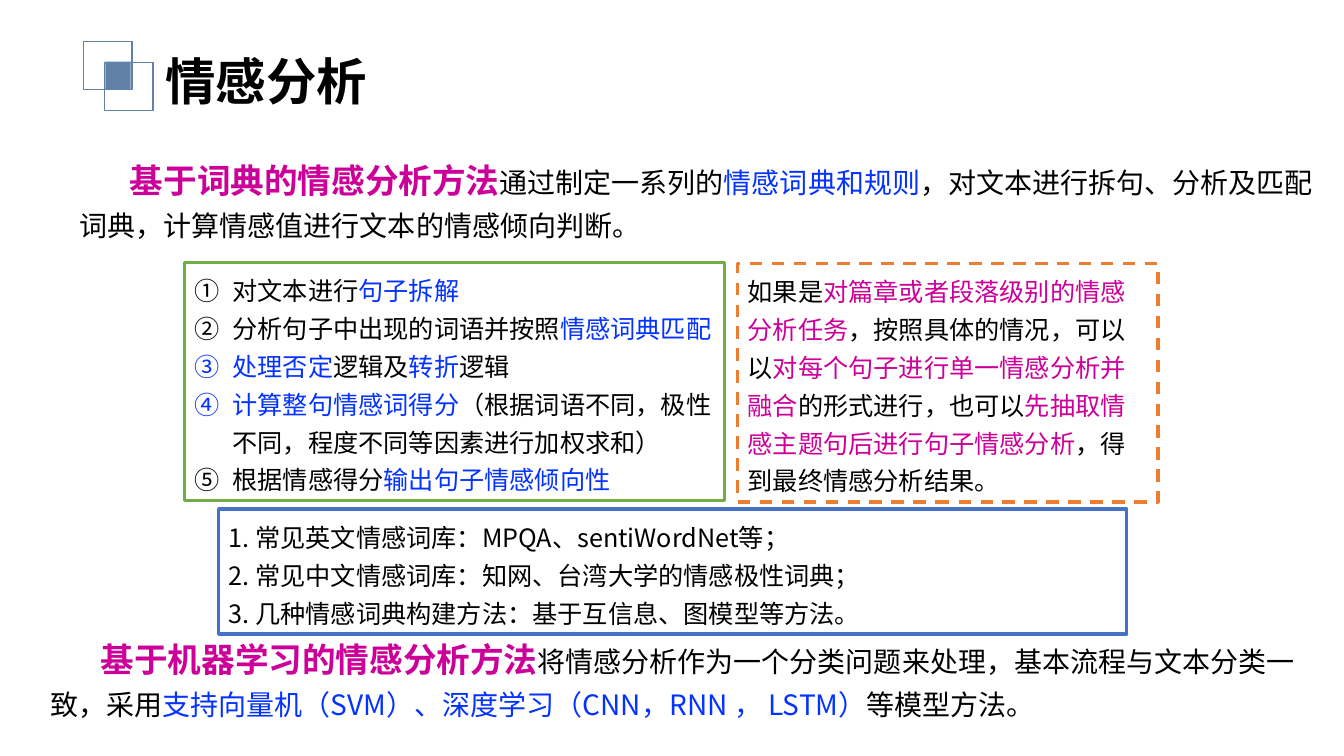
from lxml.etree import SubElement
from pptx import Presentation
from pptx.dml.color import RGBColor
from pptx.enum.dml import MSO_LINE
from pptx.enum.shapes import MSO_SHAPE
from pptx.enum.text import MSO_ANCHOR, MSO_AUTO_SIZE, PP_ALIGN
from pptx.oxml.ns import qn
from pptx.util import Pt

FONT = "Noto Sans CJK SC"
BLACK, BLUE, PINK = "000000", "0432FF", "CC0099"
STEEL, GREEN, ORANGE, NAVY = "6082A9", "70AD47", "ED7D31", "4472C4"

# Each paragraph is a list of (text, colour) runs
INTRO = [
    ("基于词典的情感分析方法", PINK), ("通过制定一系列的", BLACK), ("情感词典和规则", BLUE),
    ("，对文本进行拆句、分析及匹配词典，计算情感值进行文本的情感倾向判断。", BLACK),
]
STEPS = [
    [("对文本进行", BLACK), ("句子拆解", BLUE)],
    [("分析句子中出现的词语并按照", BLACK), ("情感词典匹配", BLUE)],
    [("处理否定", BLUE), ("逻辑及", BLACK), ("转折", BLUE), ("逻辑", BLACK)],
    [("计算整句情感词得分", BLUE),
     ("（根据词语不同，极性不同，程度不同等因素进行加权求和）", BLACK)],
    [("根据情感得分", BLACK), ("输出句子情感倾向性", BLUE)],
]
REMARK = [[
    ("如果是", BLACK), ("对篇章或者段落级别的情感分析任务", PINK),
    ("，按照具体的情况，可以以", BLACK), ("对每个句子进行单一情感分析并融合", PINK),
    ("的形式进行，也可以", BLACK), ("先抽取情感主题句后进行句子情感分析", PINK),
    ("，得到最终情感分析结果。", BLACK),
]]
SOURCES = [
    [("1. 常见英文情感词库：MPQA、sentiWordNet等；", BLACK)],
    [("2. 常见中文情感词库：知网、台湾大学的情感极性词典；", BLACK)],
    [("3. 几种情感词典构建方法：基于互信息、图模型等方法。", BLACK)],
]
OUTRO = [
    ("基于机器学习的情感分析方法", PINK),
    ("将情感分析作为一个分类问题来处理，基本流程与文本分类一致，采用", BLACK),
    ("支持向量机（SVM）、深度学习（CNN，RNN ， LSTM）", BLUE), ("等模型方法。", BLACK),
]


def paint(target, color):
    """Give a fill, or the fill of a line or font, one solid colour."""
    target.solid()
    target.fore_color.rgb = RGBColor.from_string(color)


def style(run, size, color, bold=False):
    font = run.font
    font.size, font.bold, font.name = Pt(size), bold, FONT
    paint(font.fill, color)
    SubElement(run.font._element, qn("a:ea"), typeface=FONT)


def place(shape, box):
    shape.left, shape.top, shape.width, shape.height = map(Pt, box)


def setup(frame, anchor=MSO_ANCHOR.TOP):
    frame.word_wrap = True
    frame.auto_size = MSO_AUTO_SIZE.NONE
    frame.vertical_anchor = anchor


def write(para, runs, size, lead=None):
    """Fill a paragraph; a lead size makes its first run large and bold."""
    para.alignment = PP_ALIGN.LEFT
    para.line_spacing = 1.25
    para.space_before = Pt(0)
    for i, (text, color) in enumerate(runs):
        run = para.add_run()
        run.text = text
        big = lead and i == 0
        style(run, lead if big else size, color, bool(big))


def fill_box(shape, paras, edge, fill=None, number=False, dash=False):
    """Frame a shape and write its 18-point paragraphs."""
    if fill:
        paint(shape.fill, fill)
    else:
        shape.fill.background()
    paint(shape.line.fill, edge)
    shape.line.width = Pt(2.25)
    if dash:
        shape.line.dash_style = MSO_LINE.DASH
    frame = shape.text_frame
    setup(frame, MSO_ANCHOR.MIDDLE)
    for i, runs in enumerate(paras):
        para = frame.add_paragraph() if i else frame.paragraphs[0]
        if number:
            props = para._p.get_or_add_pPr()
            props.set("marL", str(Pt(27)))
            props.set("indent", str(Pt(-27)))
            SubElement(props, qn("a:buAutoNum"), type="circleNumDbPlain")
        write(para, runs, 18)


def add_rect(slide, box):
    shape = slide.shapes.add_shape(MSO_SHAPE.RECTANGLE, *map(Pt, box))
    shape.shadow.inherit = False
    return shape


def add_head(slide, box):
    """Overlapping squares with the title on their right."""
    x, y, w, h = box
    side, step = 34.5, 15
    for i in range(2):
        square = add_rect(slide, (x + i * step, y + i * step, side, side))
        square.fill.background()
        paint(square.line.fill, STEEL)
        square.line.width = Pt(1)
    core = add_rect(slide, (x + 15.5, y + 14.5, 18, 19.5))
    paint(core.fill, STEEL)
    core.line.fill.background()

    title = slide.shapes.title
    place(title, (x + 51, y + 2.2, w - 51, h - 2.2))
    setup(title.text_frame, MSO_ANCHOR.MIDDLE)
    title.text_frame.text = "情感分析"
    para = title.text_frame.paragraphs[0]
    para.alignment = PP_ALIGN.LEFT
    style(para.runs[0], 36, BLACK, True)


def add_method(slide, box, runs):
    """Indented paragraph that opens with the method's name."""
    frame = slide.shapes.add_textbox(*map(Pt, box)).text_frame
    setup(frame)
    para = frame.paragraphs[0]
    para._p.get_or_add_pPr().set("indent", str(Pt(36)))
    write(para, runs, 20, lead=24)


def add_lexicon(slide, box):
    """Steps and remark side by side, word lists below."""
    x, y, w, h = box
    steps = slide.placeholders[1]
    place(steps, (x, y, 386, 170.6))
    fill_box(steps, STEPS, GREEN, "FFFFFF", number=True)
    remark = add_rect(slide, (x + w - 300.2, y + 0.8, 300.2, 170.6))
    fill_box(remark, REMARK, ORANGE, dash=True)
    lists = add_rect(slide, (x + 24.4, y + h - 89.3, 648.7, 89.3))
    fill_box(lists, SOURCES, NAVY, "FFFFFF")


def main():
    deck = Presentation()
    deck.slide_width, deck.slide_height = Pt(960), Pt(540)
    slide = deck.slides.add_slide(deck.slide_layouts[1])
    add_head(slide, (59.8, 29.5, 457, 53.3))
    add_method(slide, (49.7, 103.7, 899.3, 73.4), INTRO)
    add_lexicon(slide, (131.8, 187.2, 695.4, 265.7))
    add_method(slide, (28.8, 445.7, 907.9, 73.4), OUTRO)
    deck.save("out.pptx")


if __name__ == "__main__":
    main()
